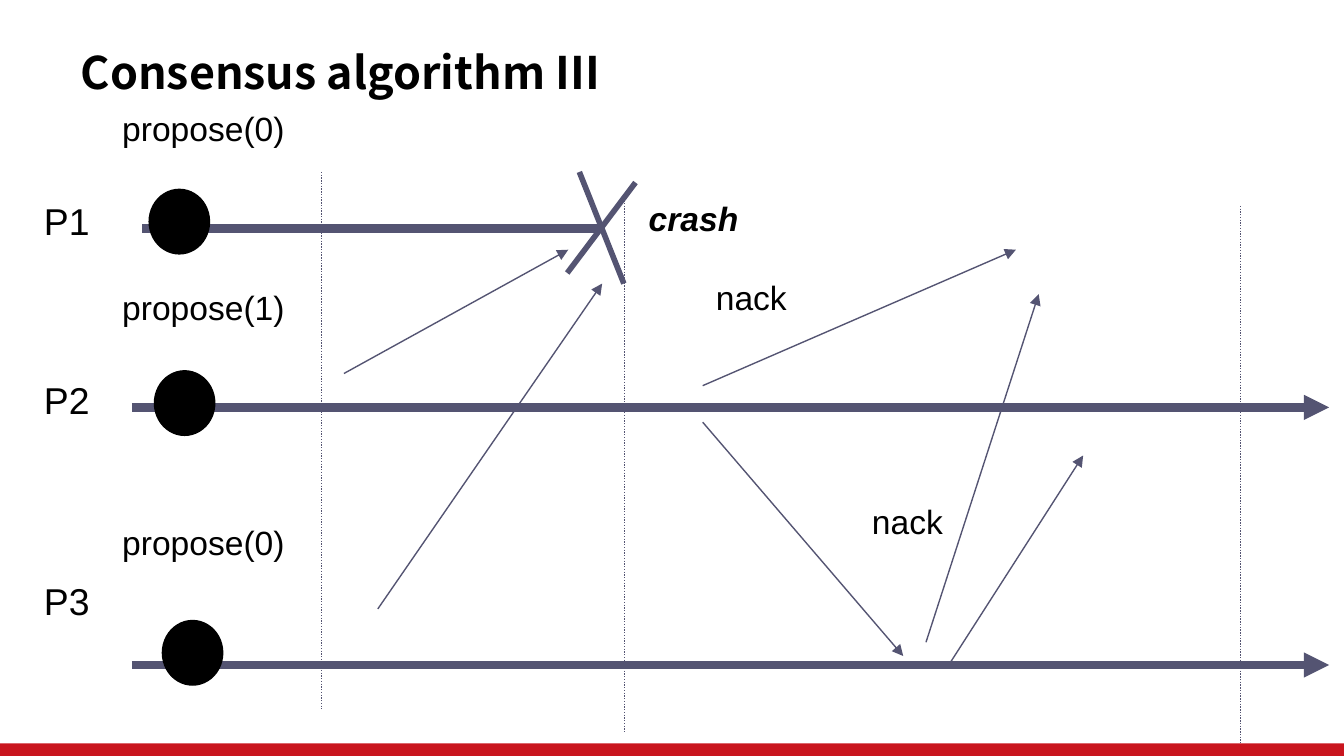
from lxml.etree import SubElement
from pptx import Presentation
from pptx.dml.color import RGBColor
from pptx.enum.dml import MSO_LINE
from pptx.enum.shapes import MSO_CONNECTOR, MSO_SHAPE
from pptx.enum.text import MSO_ANCHOR, MSO_AUTO_SIZE, PP_ALIGN
from pptx.oxml.ns import qn
from pptx.util import Cm, Pt

INK, LINE, RED = "000000", "545472", "C9151E"

# Processes: name, label top, proposal, proposal top, dot left and top
PROCESSES = [
    ("P1", 3.68, "propose(0)", 1.98, 2.82, 3.58),
    ("P2", 7.06, "propose(1)", 5.36, 2.92, 7.01),
    ("P3", 10.87, "propose(0)", 9.8, 3.07, 11.73),
]
# Round borders: x, top
ROUNDS = [(6.08, 3.25), (11.8, 3.68), (23.44, 3.89)]
ROUND_HEIGHT = 10.16
CRASH_CROSS = [(12.01, 3.45, 10.72, 5.16), (10.95, 3.25, 11.79, 5.36)]
# Messages: start x, y and end x, y
MESSAGES = [
    (6.5, 7.06, 10.74, 4.72),
    (7.14, 11.51, 11.38, 5.36),
    (13.28, 7.29, 19.2, 4.72),
    (13.28, 7.98, 17.07, 12.4),
    (17.5, 12.14, 19.63, 5.56),
    (17.93, 12.57, 20.47, 8.61),
]


def rgb(color):
    return RGBColor.from_string(color)


def format_run(r, size, font="Arial", bold=False, italic=False):
    r.font.name, r.font.size = font, Pt(size)
    r.font.bold, r.font.italic = bold, italic
    r.font.color.rgb = rgb(INK)


def add_title(s, text):
    sp = s.shapes.title
    sp.left, sp.top, sp.width, sp.height = Cm(1.27), Cm(0.74), Cm(17.68), Cm(1.24)
    tf = sp.text_frame
    tf.text = text
    tf.word_wrap = False
    tf.auto_size = MSO_AUTO_SIZE.NONE
    tf.vertical_anchor = MSO_ANCHOR.MIDDLE
    p = tf.paragraphs[0]
    p.alignment = PP_ALIGN.LEFT
    format_run(p.runs[0], 24, "Noto Sans CJK SC", bold=True)


def add_label(s, text, x, y, w, h=0.99, size=18, wrap=True, **style):
    tf = s.shapes.add_textbox(Cm(x), Cm(y), Cm(w), Cm(h)).text_frame
    tf.text = text
    tf.word_wrap = wrap
    tf.auto_size = MSO_AUTO_SIZE.SHAPE_TO_FIT_TEXT
    p = tf.paragraphs[0]
    p.line_spacing = 0.95
    format_run(p.runs[0], size, **style)


def add_line(s, x1, y1, x2, y2, width=0.75, arrow=False, dotted=False):
    ends = [Cm(v) for v in (x1, y1, x2, y2)]
    cxn = s.shapes.add_connector(MSO_CONNECTOR.STRAIGHT, *ends)
    cxn.line.color.rgb = rgb(LINE)
    cxn.line.width = Pt(width)
    if dotted:
        cxn.line.dash_style = MSO_LINE.ROUND_DOT
    if arrow:
        SubElement(cxn.line._get_or_add_ln(), qn("a:tailEnd"), type="triangle")
    SubElement(cxn._element.spPr, qn("a:effectLst"))


def add_solid(s, kind, x, y, w, h, color, outlined=False):
    sp = s.shapes.add_shape(kind, Cm(x), Cm(y), Cm(w), Cm(h))
    sp.shadow.inherit = False
    sp.fill.solid()
    sp.fill.fore_color.rgb = rgb(color)
    if outlined:
        sp.line.color.rgb = rgb(color)
        sp.line.width = Pt(0.75)
    else:
        sp.line.fill.background()


def main():
    prs = Presentation()
    prs.slide_width, prs.slide_height = Cm(25.4), Cm(14.29)
    s = prs.slides.add_slide(prs.slide_layouts[5])

    # Frame
    add_solid(s, MSO_SHAPE.RECTANGLE, 0, 14.05, 25.4, 0.24, RED)
    add_title(s, "Consensus algorithm III")

    # Time lines and round borders
    add_line(s, 2.69, 4.32, 11.38, 4.32, width=4.5)
    for y in (7.7, 12.57):
        add_line(s, 2.49, y, 25.12, y, width=4.5, arrow=True)
    for x, y in ROUNDS:
        add_line(s, x, y, x, y + ROUND_HEIGHT, dotted=True)

    # Processes and their proposals
    for name, name_y, proposal, proposal_y, dot_x, dot_y in PROCESSES:
        add_label(s, name, 0.58, name_y, 1.37, 1.07, size=20, wrap=False)
        add_label(s, proposal, 2.06, proposal_y, 4.45)
        add_solid(s, MSO_SHAPE.OVAL, dot_x, dot_y, 1.14, 1.22, INK, outlined=True)

    # Crash of P1
    for stroke in CRASH_CROSS:
        add_line(s, *stroke, width=3)
    add_label(s, "crash", 12.01, 3.68, 4.24, bold=True, italic=True)

    # Messages
    for message in MESSAGES:
        add_line(s, *message, arrow=True)
    for x, y in [(13.28, 5.16), (16.23, 9.4)]:
        add_label(s, "nack", x, y, 4.01)

    prs.save("out.pptx")


if __name__ == "__main__":
    main()
